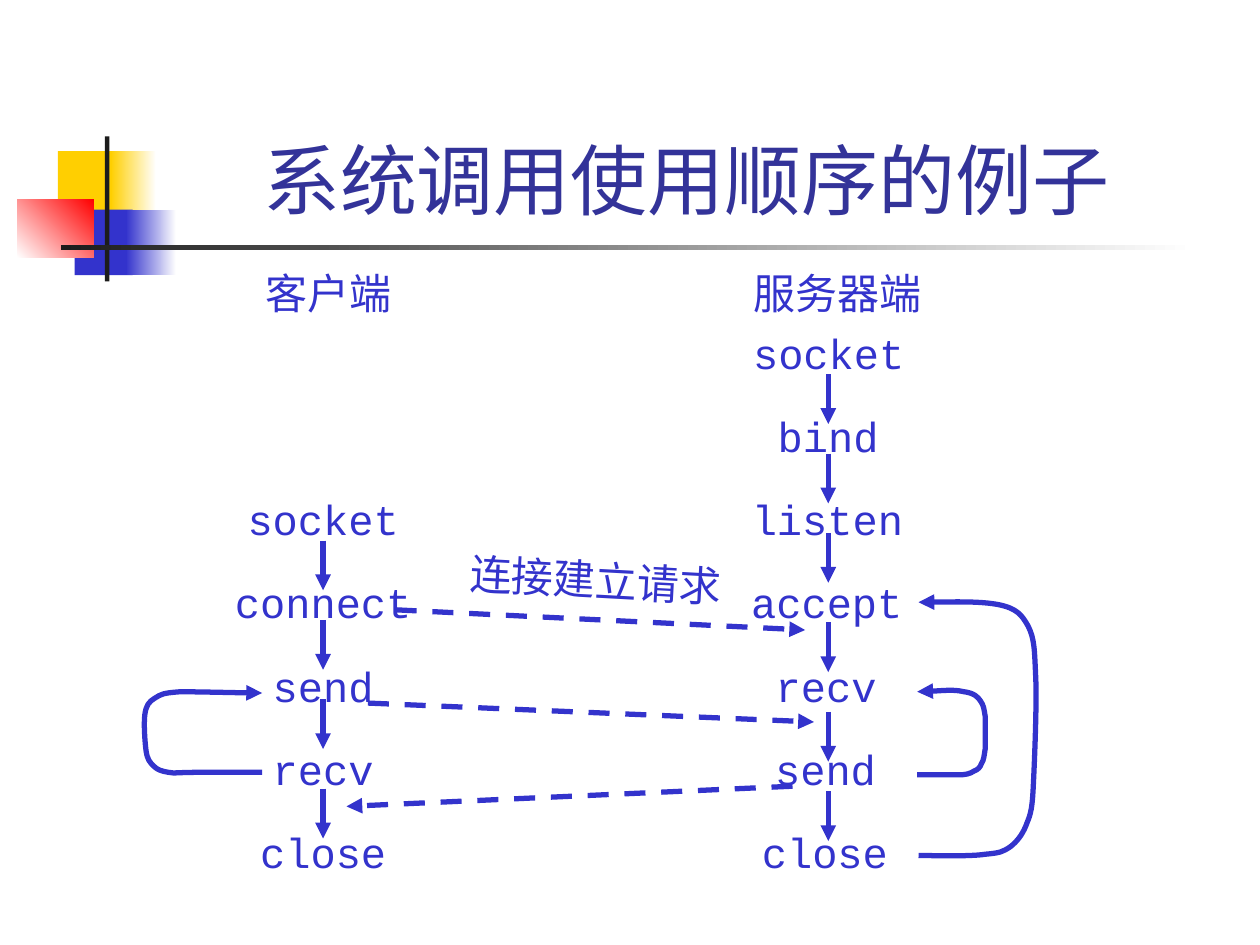
import pptx
import pptx.dml.color
import pptx.enum.dml
import pptx.enum.shapes
import pptx.enum.text
import pptx.oxml
import pptx.oxml.ns
import pptx.util

RGB = pptx.dml.color.RGBColor
Pt = pptx.util.Pt
ALIGN = pptx.enum.text.PP_ALIGN
ANCHOR = pptx.enum.text.MSO_ANCHOR
AUTO = pptx.enum.text.MSO_AUTO_SIZE

BLUE = RGB(0x33, 0x33, 0xCC)
NAVY = RGB(0x33, 0x33, 0x99)
YELLOW = RGB(0xFF, 0xCF, 0x01)
RED = RGB(0xFF, 0x00, 0x00)
BLACK = RGB(0x1C, 0x1C, 0x1C)
WHITE = RGB(0xFF, 0xFF, 0xFF)

W, H = pptx.util.Inches(10), pptx.util.Inches(7.5)
CELL = W // 100
ROW_TOP, ROW_STEP, ROW_HEIGHT = 25.5, 6.6, 5
ARROW_LENGTH = 3.95

LABEL_FRAME = {"word_wrap": False, "auto_size": AUTO.SHAPE_TO_FIT_TEXT}
TITLE_FRAME = {"word_wrap": True, "vertical_anchor": ANCHOR.BOTTOM}
TITLE_FONT = {"name": "Arial", "size": Pt(44)}
LABEL_FONT = {"name": "Arial", "size": Pt(24)}
CALL_FONT = {"name": "Courier New", "size": Pt(24)}

DECOR = [
    ((4.6, 12, 4.8, 5.2), [YELLOW], 0),
    ((8.8, 12, 3.6, 5.2), [WHITE, YELLOW], 180),
    ((5.93, 16.64, 4.6, 5.2), [BLUE], 0),
    ((10, 16.64, 4, 5.2), [WHITE, BLUE], 180),
    ((1.35, 15.83, 6.1, 4.6), [RED, WHITE], 225),
    ((8.33, 10.83, 0.35, 11.5), [BLACK], 0),
    ((4.84, 19.46, 90, 0.35), [WHITE, BLACK], 180),
]

CLIENT = {
    "calls": ["socket", "connect", "send", "recv", "close"],
    "first_row": 2, "centre": 25.65, "drift": 0,
    "arrow_x": 25.64, "arrow_tops": [42.9, 49.2, 55.5, 62.6],
}
SERVER = {
    "calls": ["socket", "bind", "listen", "accept", "recv", "send", "close"],
    "first_row": 0, "centre": 65.77, "drift": -0.05,
    "arrow_x": 65.74, "arrow_tops": [29.7, 36, 42.3, 49.4, 56.5, 62.8],
}

MESSAGES = [
    ((29.2, 55.8), (64.6, 57.3)),
    ((62.9, 62.4), (27.5, 64)),
    ((31.4, 48.4), (63.9, 50)),
]

LOOPS = [
    [(20.8, 61.3), (19.9, 61.3), (16.6, 61.3), (15.4, 61.3),
     (14.1, 61.3), (13.9, 61.4), (13.4, 61.3),
     (12.8, 61.2), (12.5, 61.1), (12.2, 60.8),
     (11.9, 60.5), (11.7, 60.3), (11.6, 59.6),
     (11.5, 58.9), (11.4, 57.4), (11.5, 56.7),
     (11.6, 56), (11.8, 55.7), (12.3, 55.4),
     (12.8, 55.1), (12.9, 55), (14.3, 54.9),
     (15.8, 54.9), (19.4, 55), (20.8, 55)],
    [(72.8, 61.5), (73.4, 61.5), (75.2, 61.5), (76, 61.5),
     (76.7, 61.5), (77, 61.4), (77.3, 61.2),
     (77.6, 61.1), (77.8, 60.9), (77.9, 60.6),
     (78.1, 60.3), (78.1, 60), (78.2, 59.4),
     (78.2, 58.8), (78.2, 57.5), (78.2, 56.9),
     (78.1, 56.3), (78.1, 56), (77.8, 55.6),
     (77.6, 55.3), (77.3, 55), (76.5, 54.9),
     (75.7, 54.7), (73.6, 54.9), (72.8, 54.9)],
    [(72.9, 67.9), (73.8, 67.9), (77, 68), (78.2, 67.8),
     (79.4, 67.7), (79.6, 67.6), (80.2, 67.2),
     (80.7, 66.8), (81.1, 66.3), (81.4, 65.6),
     (81.7, 64.8), (81.9, 64.6), (82, 62.6),
     (82.1, 60.6), (82.3, 55.8), (82.2, 53.7),
     (82.1, 51.5), (82.1, 50.7), (81.6, 49.7),
     (81.1, 48.8), (80.7, 48.3), (79.3, 48),
     (77.8, 47.7), (74.2, 47.8), (72.9, 47.8)],
]


def cells(*values):
    return [round(v * CELL) for v in values]


def apply(obj, fmt):
    for name, value in fmt.items():
        setattr(obj, name, value)


def new_tag(name, attributes=""):
    return pptx.oxml.parse_xml(
        f'<a:{name} {pptx.oxml.ns.nsdecls("a")} {attributes}/>')


def add_text(s, box, text, font, color=BLUE, align=ALIGN.LEFT, frame=LABEL_FRAME, turn=0):
    sp = s.shapes.add_textbox(*cells(*box))
    sp.rotation = turn
    tf = sp.text_frame
    apply(tf, frame)
    p = tf.paragraphs[0]
    p.alignment = align
    r = p.add_run()
    r.text = text
    apply(r.font, font)
    r.font.color.rgb = color


def add_block(s, box, colors, angle):
    sp = s.shapes.add_shape(pptx.enum.shapes.MSO_SHAPE.RECTANGLE, *cells(*box))
    sp.shadow.inherit = False
    sp.line.fill.background()
    if len(colors) == 1:
        sp.fill.solid()
        sp.fill.fore_color.rgb = colors[0]
        return
    sp.fill.gradient()
    sp.fill.gradient_angle = angle
    for stop, color in zip(sp.fill.gradient_stops, colors):
        stop.color.rgb = color


def style_arrow(sp, dashed=False):
    sp.line.color.rgb = BLUE
    sp.line.width = Pt(3)
    if dashed:
        sp.line.dash_style = pptx.enum.dml.MSO_LINE.DASH
    ln = sp.element.spPr.find(pptx.oxml.ns.qn("a:ln"))
    ln.append(new_tag("tailEnd", 'type="triangle"'))


def add_arrow(s, start, end, dashed=False):
    kind = pptx.enum.shapes.MSO_CONNECTOR.STRAIGHT
    sp = s.shapes.add_connector(kind, *cells(*start, *end))
    style_arrow(sp, dashed)
    sp.element.spPr.append(new_tag("effectLst"))


def round_segments(sp):
    segments = list(sp.element.iter(pptx.oxml.ns.qn("a:lnTo")))
    for i in range(0, len(segments), 3):
        curve = new_tag("cubicBezTo")
        segments[i].addprevious(curve)
        for segment in segments[i:i + 3]:
            curve.append(segment[0])
            segment.getparent().remove(segment)


def add_loop(s, points):
    start, *rest = [cells(*point) for point in points]
    fb = s.shapes.build_freeform(*start)
    fb.add_line_segments(rest, close=False)
    sp = fb.convert_to_shape()
    round_segments(sp)
    sp.shadow.inherit = False
    sp.fill.background()
    style_arrow(sp)


def add_side(s, side):
    for row, call in enumerate(side["calls"], side["first_row"]):
        width = 2 * len(call) + 2
        left = side["centre"] + side["drift"] * row - width / 2
        box = (left, ROW_TOP + row * ROW_STEP, width, ROW_HEIGHT)
        add_text(s, box, call, CALL_FONT, align=ALIGN.CENTER)
    x = side["arrow_x"]
    for top in side["arrow_tops"]:
        add_arrow(s, (x, top), (x, top + ARROW_LENGTH))


def main():
    prs = pptx.Presentation()
    apply(prs, {"slide_width": W, "slide_height": H})
    s = prs.slides.add_slide(prs.slide_layouts[6])
    for box, colors, angle in DECOR:
        add_block(s, box, colors, angle)
    add_text(s, (12.6, 2.35, 85.2, 16), "系统调用使用顺序的例子 ", TITLE_FONT,
             NAVY, ALIGN.CENTER, TITLE_FRAME)
    add_text(s, (58.8, 20.74, 15.3, 5), "服务器端", LABEL_FONT)
    add_side(s, SERVER)
    add_text(s, (20.1, 20.74, 12, 5), "客户端", LABEL_FONT)
    add_side(s, CLIENT)
    for points in LOOPS:
        add_loop(s, points)
    for start, end in MESSAGES:
        add_arrow(s, start, end, dashed=True)
    add_text(s, (36.3, 43.5, 22, 5), "连接建立请求", LABEL_FONT, turn=3.1)
    prs.save("out.pptx")


if __name__ == "__main__":
    main()
